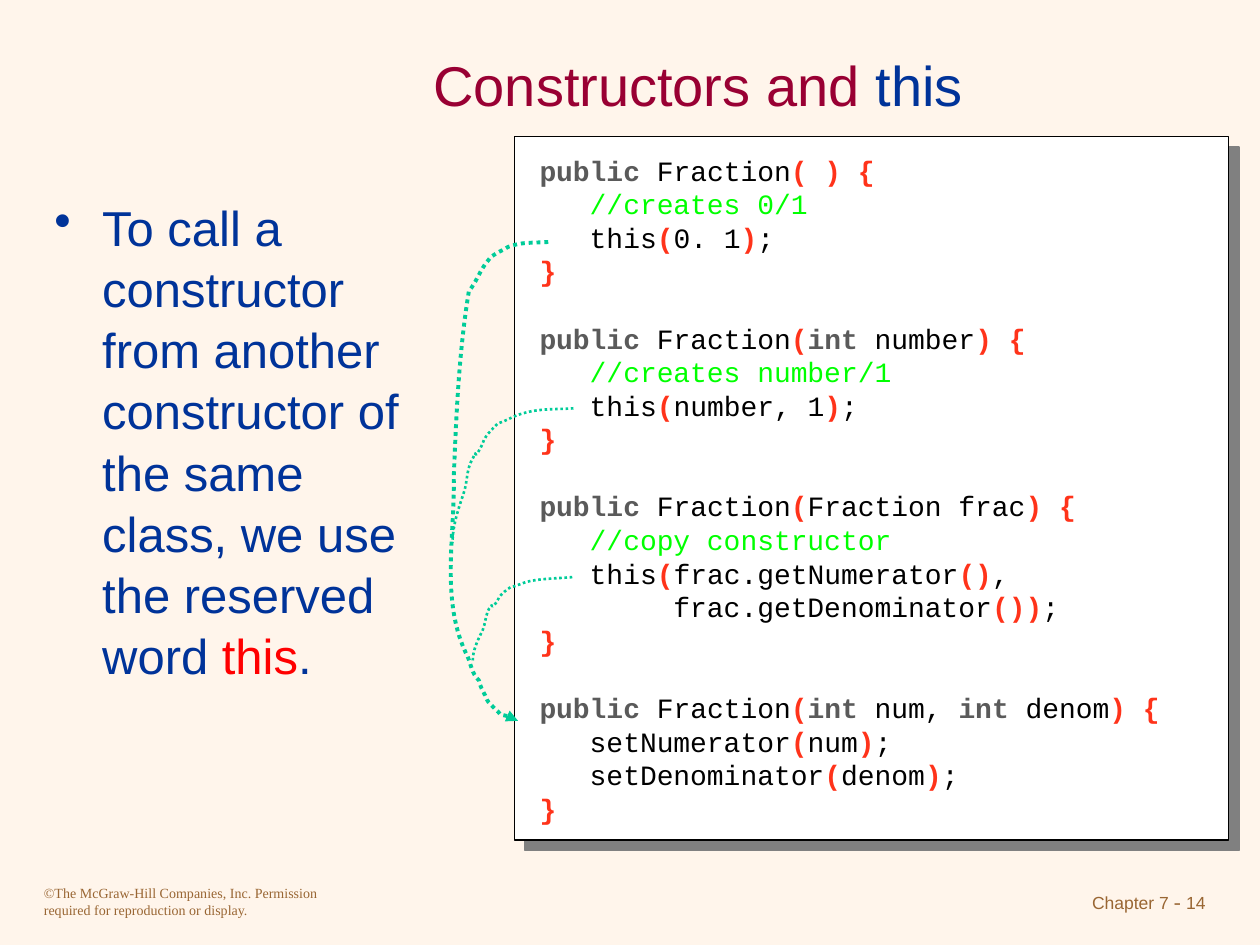
from itertools import groupby

from lxml import etree
from pptx import Presentation
from pptx.dml.color import RGBColor
from pptx.enum import dml, shapes, text
from pptx.oxml import ns
from pptx.util import Inches, Pt

COLORS = {
    "paper": "FFF5EB", "panel": "FFFFFF", "shadow": "808080", "black": "000000",
    "title": "990033", "blue": "003399", "red": "FF0000", "footer": "996633",
    "keyword": "5A5A5A", "bracket": "FF331A", "comment": "00FF00", "arrow": "00CC99",
}
COLS, ROWS = 120, 90
CELL = Inches(10) / COLS
CODE_LEADING = Pt(19.2)

CODE = """public Fraction( ) {
   //creates 0/1
   this(0. 1);
}

public Fraction(int number) {
   //creates number/1
   this(number, 1);
}

public Fraction(Fraction frac) {
   //copy constructor
   this(frac.getNumerator(),
        frac.getDenominator());
}

public Fraction(int num, int denom) {
   setNumerator(num);
   setDenominator(denom);
}"""

# Bezier points in hundredths of an inch from the corner of the arrow area:
# a start, then three points for each curve segment
CALLS = [
    (2.25, True, [
        (86, 0), (69, 1), (65, 0), (54, 4), (48, 8), (42, 9), (38, 15),
        (32, 22), (29, 32), (23, 39), (15, 88), (13, 137), (11, 187),
        (12, 234), (0, 286), (22, 329), (25, 336), (25, 342), (31, 348),
        (32, 353), (34, 356), (36, 360), (39, 367), (37, 363), (44, 371),
        (46, 372), (47, 374), (48, 375), (52, 376), (59, 377), (62, 380)]),
    (1.5, False, [
        (106, 132), (92, 133), (79, 132), (66, 136), (58, 138), (53, 142), (46, 144),
        (42, 148), (37, 153), (35, 157), (34, 160), (33, 162), (32, 164),
        (25, 176), (31, 161), (26, 172), (21, 180), (22, 190), (19, 199),
        (15, 211), (10, 225), (10, 239)]),
    (1.5, False, [
        (105, 266), (94, 267), (83, 267), (72, 269), (66, 270), (62, 273), (56, 274),
        (53, 276), (49, 279), (47, 282), (46, 283), (46, 285), (45, 286),
        (38, 294), (44, 284), (39, 291), (36, 297), (36, 303), (34, 308),
        (30, 316), (26, 324), (26, 333)]),
]


def rgb(name):
    return RGBColor.from_string(COLORS[name])


def grid(*cells):
    return [round(c * CELL) for c in cells]


def add_xml(parent, tag, **attrs):
    return etree.SubElement(parent, ns.qn(tag), attrs)


def add_box(s, box, wrap=True, anchor=text.MSO_ANCHOR.TOP):
    tf = s.shapes.add_textbox(*grid(*box)).text_frame
    tf.word_wrap = wrap
    tf.vertical_anchor = anchor
    return tf


def add_run(p, words, size, color, font="Arial", bold=False):
    r = p.add_run()
    r.text = words
    r.font.size, r.font.name, r.font.bold = Pt(size), font, bold
    r.font.color.rgb = rgb(color)


def add_title(s, box):
    p = add_box(s, box, anchor=text.MSO_ANCHOR.MIDDLE).paragraphs[0]
    p.alignment = text.PP_ALIGN.CENTER
    add_run(p, "Constructors and ", 32, "title")
    add_run(p, "this", 32, "blue")


def add_body(s, box):
    p = add_box(s, box).paragraphs[0]
    pPr = p._p.get_or_add_pPr()
    pPr.set("marL", str(Inches(0.38)))
    pPr.set("indent", str(-Inches(0.38)))
    add_xml(add_xml(pPr, "a:buClr"), "a:srgbClr", val=COLORS["blue"])
    add_xml(pPr, "a:buChar", char="•")
    p.line_spacing = 1.04
    add_run(p, "To call a constructor from another constructor of the same class, "
               "we use the reserved word ", 28, "blue")
    add_run(p, "this", 28, "red")
    add_run(p, ".", 28, "blue")


def code_tokens(line):
    """Yield (color, words) pairs for one line of code."""
    if line.lstrip().startswith("//"):
        yield "comment", line
        return

    def kind(ch):
        return "bracket" if ch in "(){}" else "word" if ch.isalnum() else "other"

    def color(token):
        if kind(token[0]) == "bracket":
            return "bracket"
        return "keyword" if token in ("public", "int") else "black"

    tokens = ["".join(chars) for _, chars in groupby(line, kind)]
    for name, parts in groupby(tokens, color):
        yield name, "".join(parts)


def add_code(s, box):
    left, top, width, height = box
    # Panel with a hard shadow
    panel = s.shapes.add_shape(shapes.MSO_SHAPE.RECTANGLE, *grid(*box))
    panel.fill.solid()
    panel.fill.fore_color.rgb = rgb("panel")
    panel.line.color.rgb = rgb("black")
    panel.line.width = Pt(0.75)
    panel.shadow.inherit = False
    effects = panel._element.spPr.find(ns.qn("a:effectLst"))
    shadow = add_xml(effects, "a:outerShdw", dist=str(Pt(8.5)), dir="2700000",
                     algn="ctr", rotWithShape="0")
    add_xml(shadow, "a:srgbClr", val=COLORS["shadow"])

    # Listing: each blank line becomes space before the next constructor
    tf = add_box(s, (left + 1.2, top + 1, width - 5, height - 1.9))
    for b, block in enumerate(CODE.split("\n\n")):
        for i, line in enumerate(block.split("\n")):
            p = tf.add_paragraph() if b or i else tf.paragraphs[0]
            p.line_spacing = CODE_LEADING
            if b and not i:
                p.space_before = CODE_LEADING
            for color, words in code_tokens(line):
                add_run(p, words, 16, color, "Courier New", color in ("keyword", "bracket"))


def add_calls(s, corner):
    group = s.shapes.add_group_shape()
    for width, arrow, points in CALLS:
        pen = group.shapes.build_freeform(*points[0], scale=Inches(0.01))
        pen.add_line_segments(points[1:], close=False)
        curve = pen.convert_to_shape(*grid(*corner))
        curve.shadow.inherit = False
        curve.fill.background()
        curve.line.color.rgb = rgb("arrow")
        curve.line.width = Pt(width)
        curve.line.dash_style = dml.MSO_LINE.ROUND_DOT
        if arrow:
            add_xml(curve._element.spPr.get_or_add_ln(), "a:tailEnd", type="triangle")
        # Every three straight segments become one Bezier segment
        path = next(curve._element.iter(ns.qn("a:path")))
        steps = path.findall(ns.qn("a:lnTo"))
        for i in range(0, len(steps), 3):
            bezier = add_xml(path, "a:cubicBezTo")
            for step in steps[i:i + 3]:
                bezier.append(step[0])
                path.remove(step)


def add_footer(s, left_box, right_box):
    p = add_box(s, left_box).paragraphs[0]
    add_run(p, "©The McGraw-Hill Companies, Inc. Permission required for "
               "reproduction or display.", 8, "footer", "Times New Roman")
    p = add_box(s, right_box).paragraphs[0]
    p.alignment = text.PP_ALIGN.RIGHT
    add_run(p, "Chapter 7", 10, "footer")
    add_run(p, " - ", 12, "footer", "Times New Roman")
    add_run(p, "14", 10, "footer")


def main():
    prs = Presentation()
    prs.slide_width, prs.slide_height = grid(COLS, ROWS)
    s = prs.slides.add_slide(prs.slide_layouts[6])
    s.background.fill.solid()
    s.background.fill.fore_color.rgb = rgb("paper")
    add_footer(s, (3, 83.65, 30, 4.35), (90, 84, 26, 4))
    add_title(s, (18, 3, 97, 10))
    add_body(s, (4, 18, 37, 59))
    add_code(s, (49, 13, 68, 67))
    add_calls(s, (41.9, 23.05))
    prs.save("out.pptx")


if __name__ == "__main__":
    main()
